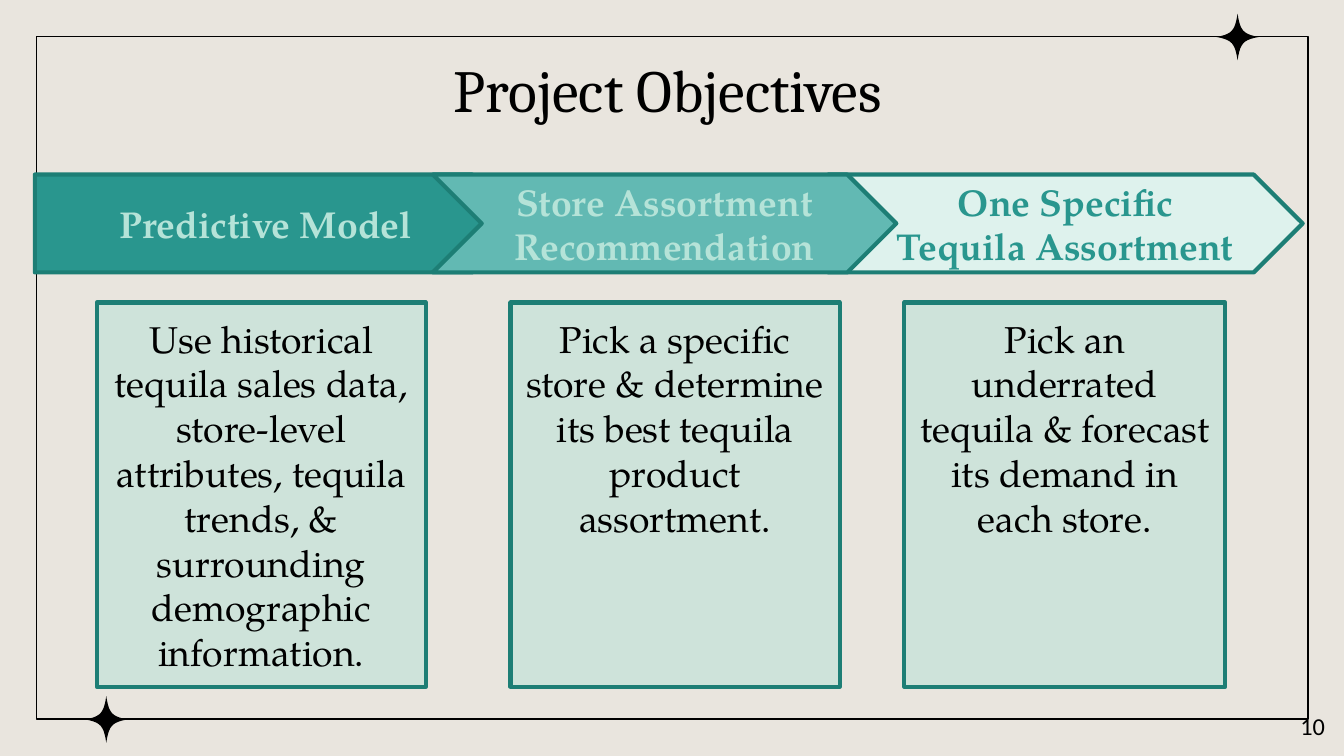
from lxml import etree
from pptx import Presentation
from pptx.dml.color import RGBColor
from pptx.enum import shapes, text
from pptx.oxml import ns
from pptx.util import Cm, Pt

COLORS = {
    "paper": "E9E5DE",
    "ink": "000000",
    "edge": "1D7E75",
    "deep": "29968E",
    "middle": "62B9B3",
    "pale": "DEF2ED",
    "mint": "B5E3D8",
}
BODY_FONT = "TeX Gyre Pagella"
ARROW_TOP, ARROW_HEIGHT = 3.3, 1.85
CARD_TOP, CARD_HEIGHT = 5.72, 7.26


def color(name):
    return RGBColor.from_string(COLORS[name])


def bezier(points, steps=10):
    """Points along a cubic curve, without its start."""
    curve = []
    for step in range(1, steps + 1):
        t = step / steps
        weights = ((1 - t) ** 3, 3 * t * (1 - t) ** 2, 3 * t * t * (1 - t), t ** 3)
        curve.append(tuple(sum(w * p[axis] for w, p in zip(weights, points))
                           for axis in (0, 1)))
    return curve


class SlideBuilder:
    def __init__(self, page):
        self.page = page
        page.background.fill.solid()
        page.background.fill.fore_color.rgb = color("paper")

    def add_words(self, shape, words, size, font, ink, bold=False,
                  align=text.PP_ALIGN.CENTER, anchor=text.MSO_ANCHOR.TOP):
        frame = shape.text_frame
        frame.word_wrap = True
        frame.vertical_anchor = anchor
        frame.margin_left = frame.margin_right = Cm(0.25)
        frame.margin_top = frame.margin_bottom = Cm(0.25)
        para = frame.paragraphs[0]
        para.alignment = align
        span = para.add_run()
        span.text = words
        span.font.size = Pt(size)
        span.font.name = font
        span.font.bold = bold
        span.font.color.rgb = color(ink)

    def shape(self, kind, left, top, width, height, fill=None,
              line="edge", weight=2.25, opacity=None):
        box = self.page.shapes.add_shape(kind, Cm(left), Cm(top), Cm(width), Cm(height))
        box.shadow.inherit = False
        box.line.color.rgb = color(line)
        box.line.width = Pt(weight)
        if fill is None:
            box.fill.background()
            return box
        box.fill.solid()
        box.fill.fore_color.rgb = color(fill)
        if opacity is not None:
            tint = box.element.spPr.find(ns.qn("a:solidFill")).find(ns.qn("a:srgbClr"))
            etree.SubElement(tint, ns.qn("a:alpha"), val=str(opacity * 1000))
        return box

    def sparkle(self, x, y, half_width=0.4, half_height=0.44):
        quarter = bezier([(1, 0), (0.25, 0.12), (0.12, 0.29), (0, 1)])
        back = quarter[-2::-1] + [(1, 0)]
        outline = (quarter + [(-a, b) for a, b in back]
                   + [(-a, -b) for a, b in quarter] + [(a, -b) for a, b in back])
        points = [(Cm(x + a * half_width), Cm(y + b * half_height)) for a, b in outline]
        builder = self.page.shapes.build_freeform(*points[-1])
        builder.add_line_segments(points, close=True)
        star = builder.convert_to_shape()
        star.shadow.inherit = False
        star.fill.solid()
        star.fill.fore_color.rgb = color("ink")
        star.line.fill.background()

    def title(self, words):
        box = self.page.shapes.title
        box.left, box.top, box.width, box.height = Cm(0.66), Cm(0.74), Cm(23.93), Cm(1.88)
        self.add_words(box, words, 32, "Cambria", "ink")
        box.text_frame.auto_size = text.MSO_AUTO_SIZE.SHAPE_TO_FIT_TEXT

    def arrow(self, kind, left, width, fill, ink, words):
        box = self.shape(kind, left, ARROW_TOP, width, ARROW_HEIGHT, fill)
        box.adjustments[0] = 0.5
        self.add_words(box, words, 20, BODY_FONT, ink, bold=True,
                       anchor=text.MSO_ANCHOR.MIDDLE)

    def card(self, left, width, words):
        box = self.shape(shapes.MSO_SHAPE.RECTANGLE, left, CARD_TOP, width, CARD_HEIGHT,
                         "mint", opacity=51)
        self.add_words(box, words, 20, BODY_FONT, "ink")

    def page_number(self, number):
        box = self.page.shapes.add_textbox(Cm(23.77), Cm(13.18), Cm(1.52), Cm(1.09))
        self.add_words(box, number, 13, "Calibri", "ink", align=text.PP_ALIGN.RIGHT,
                       anchor=text.MSO_ANCHOR.MIDDLE)


def main():
    deck = Presentation()
    deck.slide_width, deck.slide_height = Cm(25.4), Cm(14.29)
    slide = SlideBuilder(deck.slides.add_slide(deck.slide_layouts[5]))

    # Frame with a sparkle on two corners
    slide.shape(shapes.MSO_SHAPE.RECTANGLE, 0.69, 0.69, 24.03, 12.9,
                line="ink", weight=0.75)
    for center in ((23.39, 0.7), (2.01, 13.6)):
        slide.sparkle(*center)

    slide.title("Project Objectives")

    # Objectives, the middle one last as it overlaps both neighbours
    pentagon, chevron = shapes.MSO_SHAPE.PENTAGON, shapes.MSO_SHAPE.CHEVRON
    objectives = [
        ((pentagon, 0.66, 9.19, "deep", "mint", "Predictive Model"),
         (1.83, 6.22, "Use historical tequila sales data, store-level attributes, "
                      "tequila trends, & surrounding demographic information.")),
        ((chevron, 15.65, 8.97, "pale", "deep", "One Specific Tequila Assortment"),
         (17.09, 6.07, "Pick an underrated tequila & forecast its demand in each store.")),
        ((chevron, 8.18, 8.76, "middle", "mint", "Store Assortment Recommendation"),
         (9.65, 6.22, "Pick a specific store & determine its best tequila "
                      "product assortment.")),
    ]
    for arrow, card in objectives:
        slide.arrow(*arrow)
        slide.card(*card)

    slide.page_number("10")
    deck.save("out.pptx")


if __name__ == "__main__":
    main()
